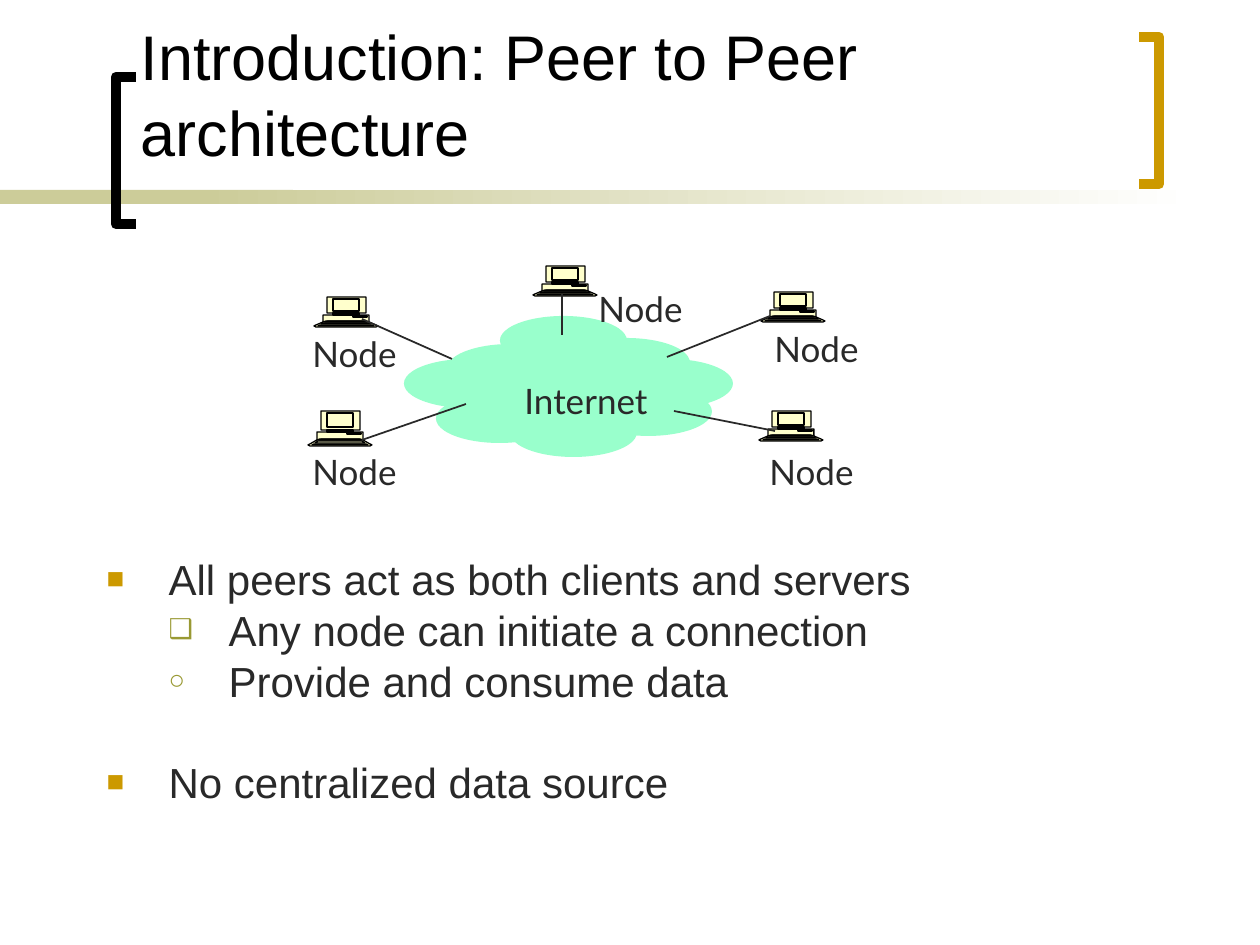
import copy

import lxml.etree
import pptx
import pptx.dml.color
import pptx.enum.shapes
import pptx.enum.text
import pptx.oxml.ns
import pptx.util

PX = 914400 / 126  # EMU per px
COLORS = {"black": "000000", "text": "292929", "gold": "CC9900", "olive": "999933",
          "khaki": "CCCC99", "white": "FFFFFF", "cloud": "99FFCC", "cream": "FFFFCC"}
RGB = {name: pptx.dml.color.RGBColor.from_string(h) for name, h in COLORS.items()}
SHAPE = pptx.enum.shapes.MSO_SHAPE
qn = pptx.oxml.ns.qn

prs = pptx.Presentation()
prs.slide_width, prs.slide_height = round(1260 * PX), round(945 * PX)
s = prs.slides.add_slide(prs.slide_layouts[1])


def write(tf, text, size=20, font="Lato", color="text", level=0, before=0, spacing=None, new=False):
    """Write one left-aligned paragraph into a text frame."""
    p = tf.add_paragraph() if new else tf.paragraphs[0]
    p.level = level
    p.alignment = pptx.enum.text.PP_ALIGN.LEFT
    p.space_before = pptx.util.Pt(before)
    if spacing:
        p.line_spacing = spacing
    r = p.add_run()
    r.text = text
    r.font.size, r.font.name = pptx.util.Pt(size), font
    r.font.color.rgb = RGB[color]
    return p


def outline(contours, line, width, fill=None):
    """Draw one freeform; filled contours are closed and painted one by one."""
    builder = s.shapes.build_freeform(*contours[0][0], scale=PX)
    for i, points in enumerate(contours):
        if i:
            builder.move_to(*points[0])
        builder.add_line_segments(points[1:], close=fill is not None)
    sp = builder.convert_to_shape()
    sp.shadow.inherit = False
    sp.line.color.rgb, sp.line.width = RGB[line], pptx.util.Pt(width)
    if fill is None:
        sp.fill.background()
        return
    sp.fill.solid()
    sp.fill.fore_color.rgb = RGB[fill]
    # Give every contour its own path so that inner ones are not holes
    whole = next(sp._element.iter(qn("a:path")))
    part = None
    for step in list(whole):
        if step.tag == qn("a:moveTo"):
            part = copy.copy(whole)
            for child in list(part):
                part.remove(child)
            whole.addprevious(part)
        part.append(step)
    whole.getparent().remove(whole)


# Header band
for x, w in ((0, 293), (199, 997)):
    sp = s.shapes.add_shape(SHAPE.RECTANGLE, *(round(v * PX) for v in (x, 190, w, 14)))
    sp.shadow.inherit = False
    sp.line.fill.background()
    if x == 0:
        sp.fill.solid()
        sp.fill.fore_color.rgb = RGB["khaki"]
    else:
        sp.fill.gradient()
        sp.fill.gradient_angle = 0
        for stop, name, pos in zip(sp.fill.gradient_stops, ("khaki", "white"), (0, 1)):
            stop.color.rgb, stop.position = RGB[name], pos

# Title brackets
for side, back, top, color in ((136, 116, 77, "black"), (1139, 1159, 37, "gold")):
    outline([[(side, top), (back, top), (back, top + 147), (side, top + 147)]], color, 6)

# Title and body placeholders
title, body = s.shapes.title, s.placeholders[1]
for sp, box, anchor in ((title, (128, 14, 987, 161), "BOTTOM"), (body, (94, 557, 1071, 346), "TOP")):
    sp.left, sp.top, sp.width, sp.height = (round(v * PX) for v in box)
    sp.text_frame.vertical_anchor = getattr(pptx.enum.text.MSO_ANCHOR, anchor)
    sp.text_frame.auto_size = pptx.enum.text.MSO_AUTO_SIZE.NONE
    sp.text_frame.word_wrap = True
write(title.text_frame, "Introduction: Peer to Peer architecture", size=36, font="Arial", color="black")

BULLETS = [  # text, level, bullet, space before
    ("All peers act as both clients and servers", 0, "■", 0),
    ("Any node can initiate a connection", 1, "❑", 6),
    ("Provide and consume data", 1, "○", 6),
    ("No centralized data source", 0, "■", 35),
]
for i, (text, level, char, before) in enumerate(BULLETS):
    p = write(body.text_frame, text, size=24, font="Arial", level=level,
              before=before, spacing=0.8, new=i > 0)
    margin, hang, color, percent = ((62, 62, "gold", 70), (122, 60, "olive", 65))[level]
    pPr = p._p.get_or_add_pPr()
    pPr.set("marL", str(round(margin * PX)))
    pPr.set("indent", str(round(-hang * PX)))
    buClr = lxml.etree.SubElement(pPr, qn("a:buClr"))
    lxml.etree.SubElement(buClr, qn("a:srgbClr"), val=COLORS[color])
    lxml.etree.SubElement(pPr, qn("a:buSzPct"), val=str(percent * 1000))
    lxml.etree.SubElement(pPr, qn("a:buFont"), typeface="Arial")
    lxml.etree.SubElement(pPr, qn("a:buChar"), char=char)

# Internet cloud
PUFFS = [(447, 344), (500, 316), (563, 338), (585, 359), (606, 359),
         (585, 387), (510, 408), (404, 359), (500, 365), (436, 394)]
for x, y in PUFFS:
    sp = s.shapes.add_shape(SHAPE.OVAL, *(round(v * PX) for v in (x, y, 127, 49)))
    sp.shadow.inherit = False
    sp.fill.solid()
    sp.fill.fore_color.rgb = RGB["cloud"]
    sp.line.fill.background()

# Computers: case, keyboard rows, drive slot, screen and neck
COMPUTER = [
    [(62, 28), (55, 25), (55, 18), (45, 18), (45, 16), (52, 16), (52, 0), (13, 0), (13, 16),
     (19, 16), (19, 18), (9, 18), (9, 25), (2, 28), (0, 29), (2, 30), (62, 30), (64, 29)],
    [(53, 25), (51, 24), (14, 24), (11, 25)],
    [(57, 27), (54, 26), (10, 26), (7, 27)],
    [(60, 29), (58, 28), (6, 28), (4, 29)],
    [(55, 25), (52, 24), (12, 24), (9, 25)],
    [(39, 19), (39, 20), (53, 20), (53, 19)],
    [(19, 2), (19, 14), (45, 14), (45, 2)],
    [(19, 16), (45, 16), (45, 18), (19, 18)],
]
for x, y, h in ((759, 411, 30), (314, 297, 30), (308, 411, 35), (533, 266, 30), (761, 292, 30)):
    outline([[(x + dx, y + round(dy * h / 30)) for dx, dy in points] for points in COMPUTER],
            "black", 0.75, fill="cream")

# Links from computers to cloud
LINKS = [(562, 335, 562, 294), (452, 359, 362, 319), (362, 440, 466, 404),
         (775, 431, 674, 411), (667, 357, 770, 316)]
for link in LINKS:
    line = s.shapes.add_connector(pptx.enum.shapes.MSO_CONNECTOR.STRAIGHT, *(round(v * PX) for v in link))
    line.line.color.rgb, line.line.width = RGB["text"], pptx.util.Pt(1)
    lxml.etree.SubElement(line._element.spPr, qn("a:effectLst"))

# Labels
NODES = [(586, 281), (300, 326), (300, 444), (757, 444), (762, 321)]
for text, x, y, w in [("Node", x, y, 115) for x, y in NODES] + [("Internet", 512, 373, 155)]:
    tb = s.shapes.add_textbox(*(round(v * PX) for v in (x, y, w, 55)))
    tb.text_frame.word_wrap = True
    write(tb.text_frame, text)

prs.save("out.pptx")
